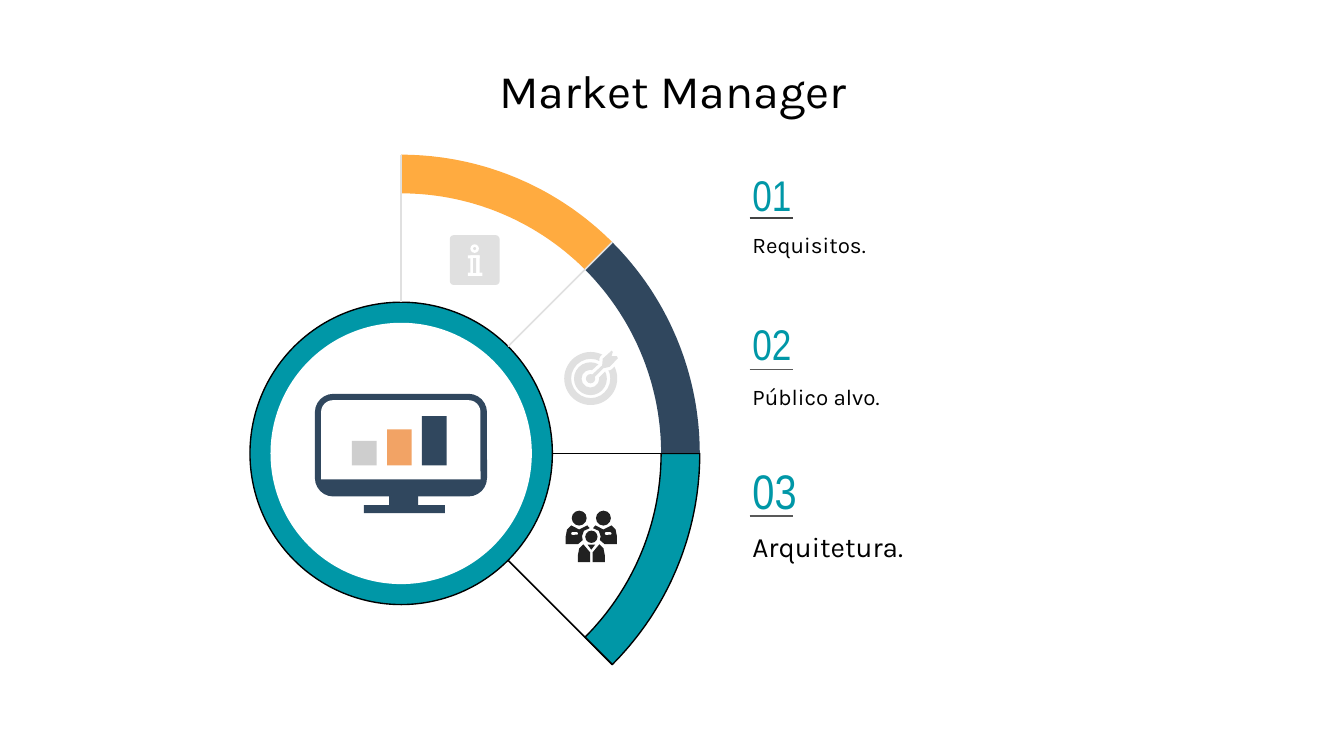
from math import cos, radians, sin

from lxml import etree
from pptx import Presentation
from pptx import util as u
from pptx.dml.color import RGBColor
from pptx.enum import shapes, text
from pptx.oxml.ns import qn

Pt = u.Pt
KIND = shapes.MSO_SHAPE

COLORS = {"black": "000000", "white": "FFFFFF", "teal": "0097A7", "navy": "30475E",
          "orange": "FFAB40", "peach": "F2A365", "silver": "CECECE", "pale": "E0E0E0",
          "ink": "212121", "rule": "595959", "dark rule": "434343"}

# Content: number, its size, its top, caption, its size, rule position, rule colour
TITLE = "Market Manager"
ITEMS = [("01", 23, 90, "Requisitos.", 12, 116.8, "dark rule"),
         ("02", 23, 170, "Público alvo.", 12, 198, "rule"),
         ("03", 26, 248.4, "Arquitetura.", 15, 276.5, "rule")]

# Dial: angles run clockwise from the top
CENTER_X, CENTER_Y = 214.9, 242.9
OUTER, INNER, HUB, HUB_HOLE = 160, 139.3, 81, 70
ARCS = [(0, 45, "orange", None), (90, 135, "teal", "black"), (45, 90, "navy", None)]
SPOKES = [(0, "pale"), (45, "pale"), (90, "black"), (135, "black")]

# Bars on the monitor: height, colour
BARS = [(13.2, "silver"), (19.4, "peach"), (26.5, "navy")]

# Icon outlines; the people are half figures, measured from their middle line
ARROW = [(327.6, 187.9), (322.9, 192.2), (322.6, 195.8), (315.2, 202.6), (316.6, 204),
         (323.3, 197.3), (326.5, 196.6), (331, 192), (330.5, 190.8), (327.6, 190.8),
         (328.3, 188.6)]
BODY = [(10.8, 281.5), (13, 283.7), (13.7, 287.3), (13.7, 291.6), (7.2, 291.6),
        (4.6, 289.4), (5, 287.3), (4, 284.4), (0.9, 283), (2.2, 281.5), (6.5, 283.7)]
LEGS = [(4.3, 291.6), (6.5, 293.8), (7.2, 297.4), (7.2, 301.2), (0.7, 301.2), (0.7, 295.9)]
COLLAR = [(-2, 291.8), (0, 294.5), (2, 291.8)]
PEOPLE_X = 316.8

deck = Presentation()
deck.slide_width, deck.slide_height = Pt(720), Pt(405)
page = deck.slides.add_slide(deck.slide_layouts[5])


def rgb(name):
    return RGBColor.from_string(COLORS[name])


def paint(shape, fill, line=None, width=0.75):
    shape.shadow.inherit = False
    shape.fill.solid()
    shape.fill.fore_color.rgb = rgb(fill)
    if line:
        shape.line.color.rgb = rgb(line)
        shape.line.width = Pt(width)
    else:
        shape.line.fill.background()


def add_preset(kind, left, top, width, height, fill, line=None, adjust=()):
    shape = page.shapes.add_shape(kind, Pt(left), Pt(top), Pt(width), Pt(height))
    for index, value in enumerate(adjust):
        shape.adjustments[index] = value
    paint(shape, fill, line)


def add_circle(x, y, radius, fill, line=None, kind=KIND.OVAL, adjust=()):
    add_preset(kind, x - radius, y - radius, 2 * radius, 2 * radius, fill, line, adjust)


def add_outline(points, fill, line=None, width=0.75):
    points = [(Pt(x), Pt(y)) for x, y in points]
    builder = page.shapes.build_freeform(*points[0])
    builder.add_line_segments(points[1:], close=True)
    paint(builder.convert_to_shape(), fill, line, width)


def add_line(start, end, color, width):
    points = [Pt(value) for value in (*start, *end)]
    line = page.shapes.add_connector(shapes.MSO_CONNECTOR.STRAIGHT, *points)
    line.line.color.rgb = rgb(color)
    line.line.width = Pt(width)
    etree.SubElement(line._element.spPr, qn("a:effectLst"))


def write(box, words, size, font, color, anchor, align=text.PP_ALIGN.LEFT):
    frame = box.text_frame
    frame.word_wrap = True
    frame.auto_size = text.MSO_AUTO_SIZE.NONE
    frame.vertical_anchor = anchor
    frame.margin_left = frame.margin_right = frame.margin_top = frame.margin_bottom = Pt(7.2)
    para = frame.paragraphs[0]
    para.text = words
    para.alignment = align
    para.space_before = Pt(0)
    para.font.size, para.font.name = Pt(size), font
    para.font.color.rgb = rgb(color)


def on_dial(angle, radius):
    turn = radians(angle)
    return CENTER_X + radius * sin(turn), CENTER_Y - radius * cos(turn)


# Title
title = page.shapes.title
title.left, title.top, title.width, title.height = Pt(56.2), Pt(32.4), Pt(608.4), Pt(31.7)
write(title, TITLE, 25, "Karla", "black", text.MSO_ANCHOR.MIDDLE, text.PP_ALIGN.CENTER)

# Numbered list
for number, number_size, top, caption, caption_size, rule_y, rule_color in ITEMS:
    box = page.shapes.add_textbox(Pt(396), Pt(top), Pt(190), Pt(28))
    write(box, number, number_size, "Arial Narrow", "teal", text.MSO_ANCHOR.MIDDLE)
    box = page.shapes.add_textbox(Pt(396), Pt(rule_y), Pt(190), Pt(36))
    write(box, caption, caption_size, "Karla", "black", text.MSO_ANCHOR.TOP)
    add_line((401.6, rule_y), (424.8, rule_y), rule_color, 0.75)

# Dial segments, hub and spokes
for first, last, fill, line in ARCS:
    angles = range(first, last + 1)
    rim = [on_dial(angle, OUTER) for angle in angles]
    inside = [on_dial(angle, INNER) for angle in reversed(angles)]
    add_outline(rim + inside, fill, line)
add_circle(CENTER_X, CENTER_Y, HUB, "teal", "black")
add_circle(CENTER_X, CENTER_Y, HUB_HOLE, "white")
for angle, color in SPOKES:
    add_line(on_dial(angle, HUB), on_dial(angle, OUTER), color, 0.81)

# Monitor with bar chart
add_preset(KIND.ROUNDED_RECTANGLE, 168.7, 211, 92.2, 55, "navy", adjust=[0.18])
add_preset(KIND.ROUND_2_SAME_RECTANGLE, 172, 214.4, 85.4, 42.4, "white", adjust=[0.15, 0])
add_preset(KIND.RECTANGLE, 208.5, 258, 15.6, 15, "navy")
add_preset(KIND.RECTANGLE, 195, 270.6, 43.4, 4.4, "navy")
for index, (height, color) in enumerate(BARS):
    add_preset(KIND.RECTANGLE, 188.6 + 18.75 * index, 249.4 - height, 13.2, height, color)

# Information icon
add_preset(KIND.ROUNDED_RECTANGLE, 241, 126, 26.7, 26.7, "pale", adjust=[0.08])
add_circle(254.3, 133.2, 2.3, "white")
add_circle(254.3, 133.2, 0.8, "pale")
for left, top, width, height in [(250.6, 136.8, 6.4, 1.7), (252, 136.8, 5, 10.5),
                                 (250.6, 146.1, 7.8, 1.7)]:
    add_preset(KIND.RECTANGLE, left, top, width, height, "white")
add_preset(KIND.RECTANGLE, 253.5, 138.3, 1.6, 7.9, "pale")

# Target icon, with a white gap around its arrow
add_circle(316.5, 202.8, 14.2, "pale", kind=KIND.DONUT, adjust=[0.13])
add_circle(316.3, 202.9, 8.8, "pale", kind=KIND.DONUT, adjust=[0.23])
add_outline(ARROW, "white", "white", 3.5)
add_outline(ARROW, "pale")
add_circle(316.4, 202.9, 2.5, "pale")

# People icon
add_circle(PEOPLE_X, 287.6, 3.3, "ink")
add_outline([(PEOPLE_X + x, y) for x, y in COLLAR], "ink")
for side in (-1, 1):
    add_circle(PEOPLE_X + side * 6.5, 277.6, 4, "ink")
    for half in (BODY, LEGS):
        add_outline([(PEOPLE_X + side * x, y) for x, y in half], "ink")
    add_preset(KIND.ROUNDED_RECTANGLE, PEOPLE_X + side * 9 - 1.8, 285.1, 3.6, 1.4,
               "white", adjust=[0.5])

deck.save("out.pptx")
